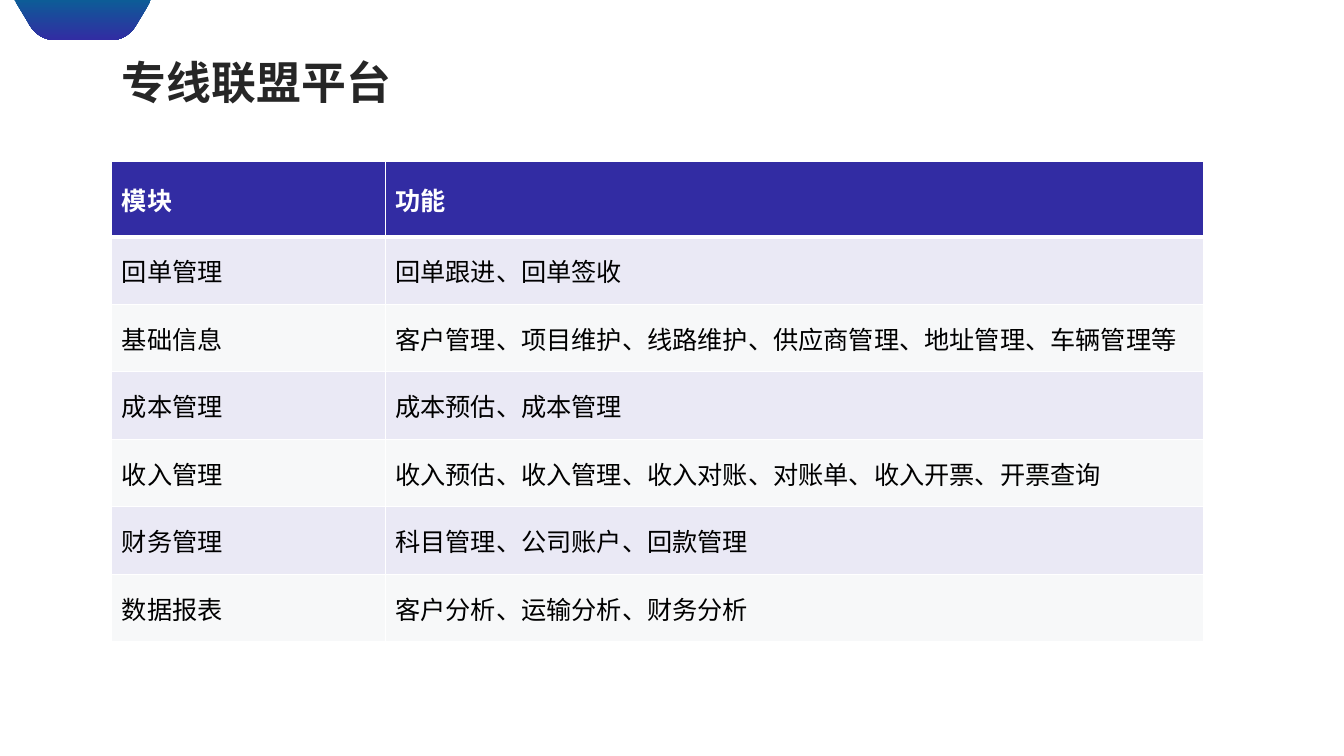
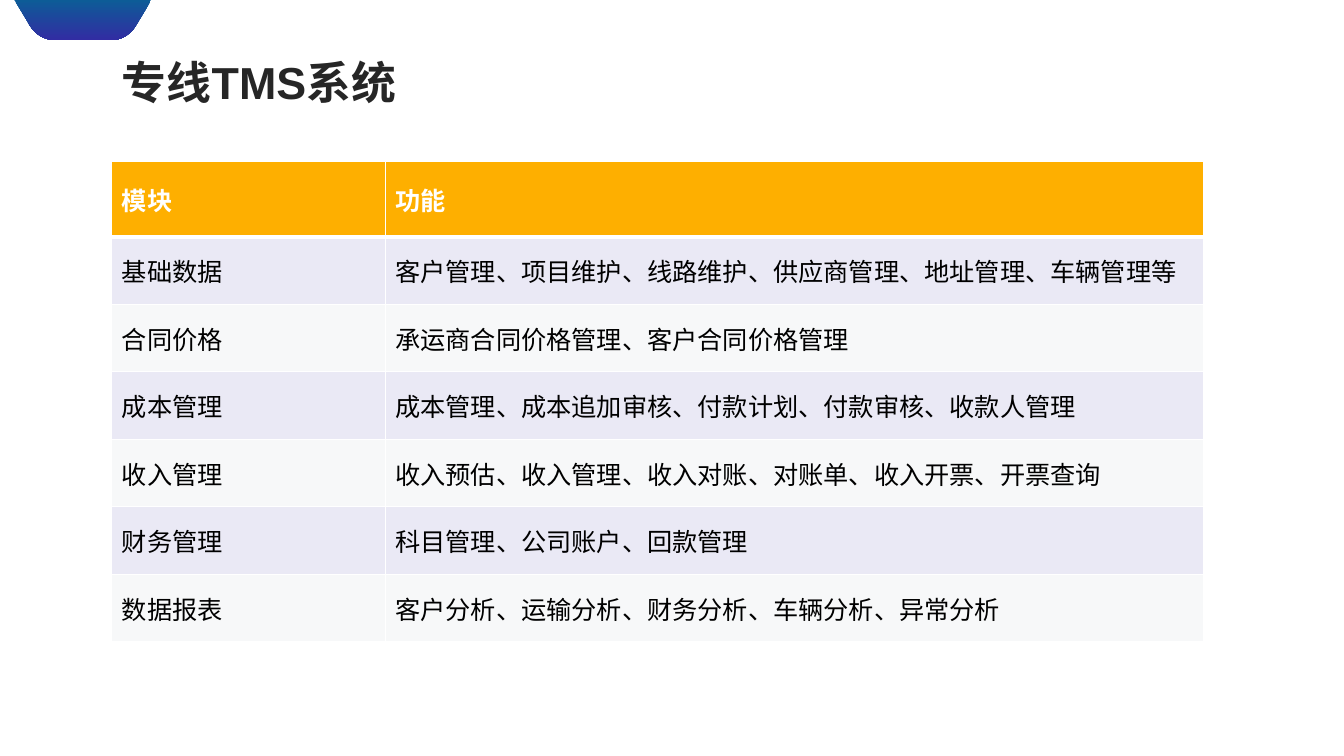
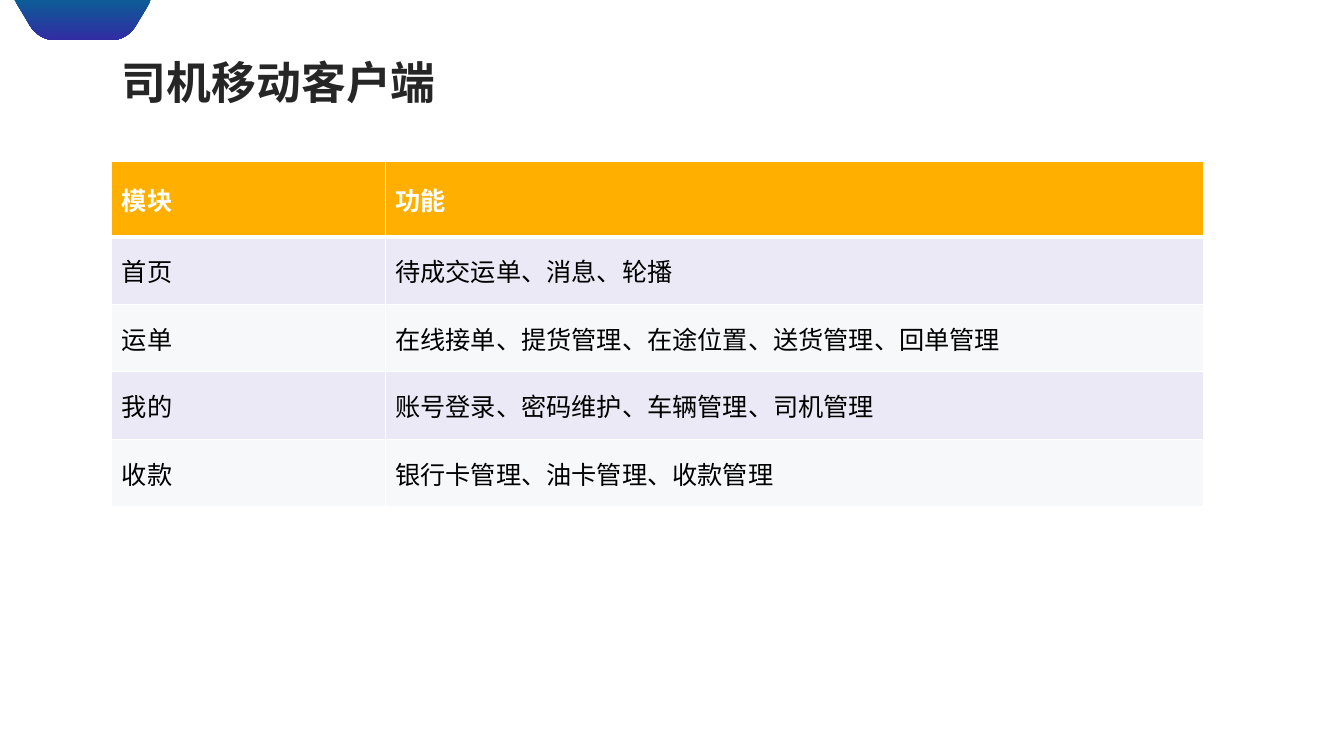
import lxml.etree
import pptx
import pptx.dml.color
import pptx.enum.lang
import pptx.enum.text
import pptx.oxml.ns
import pptx.util

Inches = pptx.util.Inches
RGBColor = pptx.dml.color.RGBColor
qn = pptx.oxml.ns.qn

# Shared style
FONT = "Arial"
INDIGO = RGBColor(0x32, 0x2C, 0xA3)
TEAL = RGBColor(0x0D, 0x5C, 0x97)
AMBER = RGBColor(0xFE, 0xAF, 0x00)
MIST = RGBColor(0xE7, 0xE9, 0xEE)
WHITE = RGBColor(0xFF, 0xFF, 0xFF)
BLACK = RGBColor(0, 0, 0)
CHARCOAL = RGBColor(0x26, 0x26, 0x26)
BANDS = [(INDIGO, 10), (MIST, 30)]  # colour and opacity in percent

# Shared layout, in inches
LEFT = 1.11
TABLE_TOP = 1.6
COLUMN_WIDTHS = [2.71, 8.12]
HEADER_HEIGHT, ROW_HEIGHT = 0.75, 0.67
TITLE_ONLY = 5

# Corner tab: points of straight edges, and cubic curves as point triples
TAB_START = (0.14, 0)
TAB_EDGES = [
    [(1.5, 0)],
    [(1.46, 0.07)],
    [(1.35, 0.25)],
    [(1.3, 0.34), (1.2, 0.4), (1.1, 0.4)],
    [(0.56, 0.4)],
    [(0.45, 0.4), (0.36, 0.35), (0.3, 0.26)],
    [(0.22, 0.12), (0.17, 0.05), (0.15, 0.01)],
]
CURVE_STEPS = 12

# Content
HEADINGS = ("模块", "功能")
MASTER_DATA = "客户管理、项目维护、线路维护、供应商管理、地址管理、车辆管理等"
INCOME = ("收入管理", "收入预估、收入管理、收入对账、对账单、收入开票、开票查询")
FINANCE = ("财务管理", "科目管理、公司账户、回款管理")
SLIDES = [
    ("专线联盟平台", INDIGO, [
        ("回单管理", "回单跟进、回单签收"),
        ("基础信息", MASTER_DATA),
        ("成本管理", "成本预估、成本管理"),
        INCOME,
        FINANCE,
        ("数据报表", "客户分析、运输分析、财务分析"),
    ]),
    ("专线TMS系统", AMBER, [
        ("基础数据", MASTER_DATA),
        ("合同价格", "承运商合同价格管理、客户合同价格管理"),
        ("成本管理", "成本管理、成本追加审核、付款计划、付款审核、收款人管理"),
        INCOME,
        FINANCE,
        ("数据报表", "客户分析、运输分析、财务分析、车辆分析、异常分析"),
    ]),
    ("司机移动客户端", AMBER, [
        ("首页", "待成交运单、消息、轮播"),
        ("运单", "在线接单、提货管理、在途位置、送货管理、回单管理"),
        ("我的", "账号登录、密码维护、车辆管理、司机管理"),
        ("收款", "银行卡管理、油卡管理、收款管理"),
    ]),
]


def write_text(frame, text, size=18, color=BLACK, bold=False,
               align=pptx.enum.text.PP_ALIGN.LEFT):
    paragraph = frame.paragraphs[0]
    paragraph.alignment = align
    run = paragraph.add_run()
    run.text = text
    run.font.name = FONT
    run.font.size = pptx.util.Pt(size)
    run.font.bold = bold
    run.font.color.rgb = color
    run.font.language_id = pptx.enum.lang.MSO_LANGUAGE_ID.SIMPLIFIED_CHINESE


def curve_points(start, control_1, control_2, end):
    """Points along a cubic curve, without its start."""
    points = []
    for step in range(1, CURVE_STEPS + 1):
        t = step / CURVE_STEPS
        weights = ((1 - t) ** 3, 3 * t * (1 - t) ** 2, 3 * t * t * (1 - t), t ** 3)
        corners = (start, control_1, control_2, end)
        points.append(tuple(sum(w * corner[axis] for w, corner in zip(weights, corners))
                            for axis in (0, 1)))
    return points


def add_corner_tab(slide):
    outline = [TAB_START]
    for edge in TAB_EDGES:
        outline += edge if len(edge) == 1 else curve_points(outline[-1], *edge)
    points = [(Inches(x), Inches(y)) for x, y in outline]
    builder = slide.shapes.build_freeform(*points[0])
    builder.add_line_segments(points[1:], close=True)
    tab = builder.convert_to_shape()
    tab.shadow.inherit = False
    tab.line.fill.background()
    tab.fill.gradient()
    tab.fill.gradient_angle = 270
    for stop, color in zip(tab.fill.gradient_stops, (TEAL, INDIGO)):
        stop.color.rgb = color


def set_title(slide, text):
    title = slide.shapes.title
    title.left, title.top = Inches(LEFT), Inches(0.49)
    title.width, title.height = Inches(3.49), Inches(0.64)
    frame = title.text_frame
    frame.word_wrap = True
    frame.auto_size = pptx.enum.text.MSO_AUTO_SIZE.SHAPE_TO_FIT_TEXT
    frame.vertical_anchor = pptx.enum.text.MSO_ANCHOR.TOP
    write_text(frame, text, size=32, color=CHARCOAL, bold=True,
               align=pptx.enum.text.PP_ALIGN.JUSTIFY)


def fill_cell(cell, color, opacity=100):
    cell.fill.solid()
    cell.fill.fore_color.rgb = color
    if opacity < 100:
        fill_color = cell._tc.tcPr.find(".//" + qn("a:srgbClr"))
        alpha = lxml.etree.SubElement(fill_color, qn("a:alpha"))
        alpha.set("val", str(opacity * 1000))


def set_borders(cell, top=1, bottom=1):
    """White borders; widths in points. They must precede the cell's fill."""
    properties = cell._tc.get_or_add_tcPr()
    widths = {"a:lnL": 1, "a:lnR": 1, "a:lnT": top, "a:lnB": bottom}
    for position, (tag, width) in enumerate(widths.items()):
        border = lxml.etree.Element(qn(tag), w=str(pptx.util.Pt(width)))
        solid = lxml.etree.SubElement(border, qn("a:solidFill"))
        lxml.etree.SubElement(solid, qn("a:srgbClr"), val=str(WHITE))
        properties.insert(position, border)


def add_module_table(slide, header_color, modules):
    rows = [HEADINGS] + modules
    heights = [HEADER_HEIGHT] + [ROW_HEIGHT] * len(modules)
    table = slide.shapes.add_table(
        len(rows), len(HEADINGS), Inches(LEFT), Inches(TABLE_TOP),
        Inches(sum(COLUMN_WIDTHS)), Inches(sum(heights))).table
    table.horz_banding = False
    for column, width in zip(table.columns, COLUMN_WIDTHS):
        column.width = Inches(width)
    for r, (texts, height) in enumerate(zip(rows, heights)):
        table.rows[r].height = Inches(height)
        is_header = r == 0
        for c, text in enumerate(texts):
            cell = table.cell(r, c)
            cell.vertical_anchor = pptx.enum.text.MSO_ANCHOR.MIDDLE
            write_text(cell.text_frame, text, bold=is_header,
                       color=WHITE if is_header else BLACK)
            if is_header:
                fill_cell(cell, header_color)
            else:
                fill_cell(cell, *BANDS[(r - 1) % len(BANDS)])
            set_borders(cell, top=3 if r == 1 else 1, bottom=3 if is_header else 1)


def main():
    deck = pptx.Presentation()
    deck.slide_width, deck.slide_height = Inches(13.33), Inches(7.5)
    for title, header_color, modules in SLIDES:
        slide = deck.slides.add_slide(deck.slide_layouts[TITLE_ONLY])
        add_corner_tab(slide)
        set_title(slide, title)
        add_module_table(slide, header_color, modules)
    deck.save("out.pptx")


if __name__ == "__main__":
    main()
